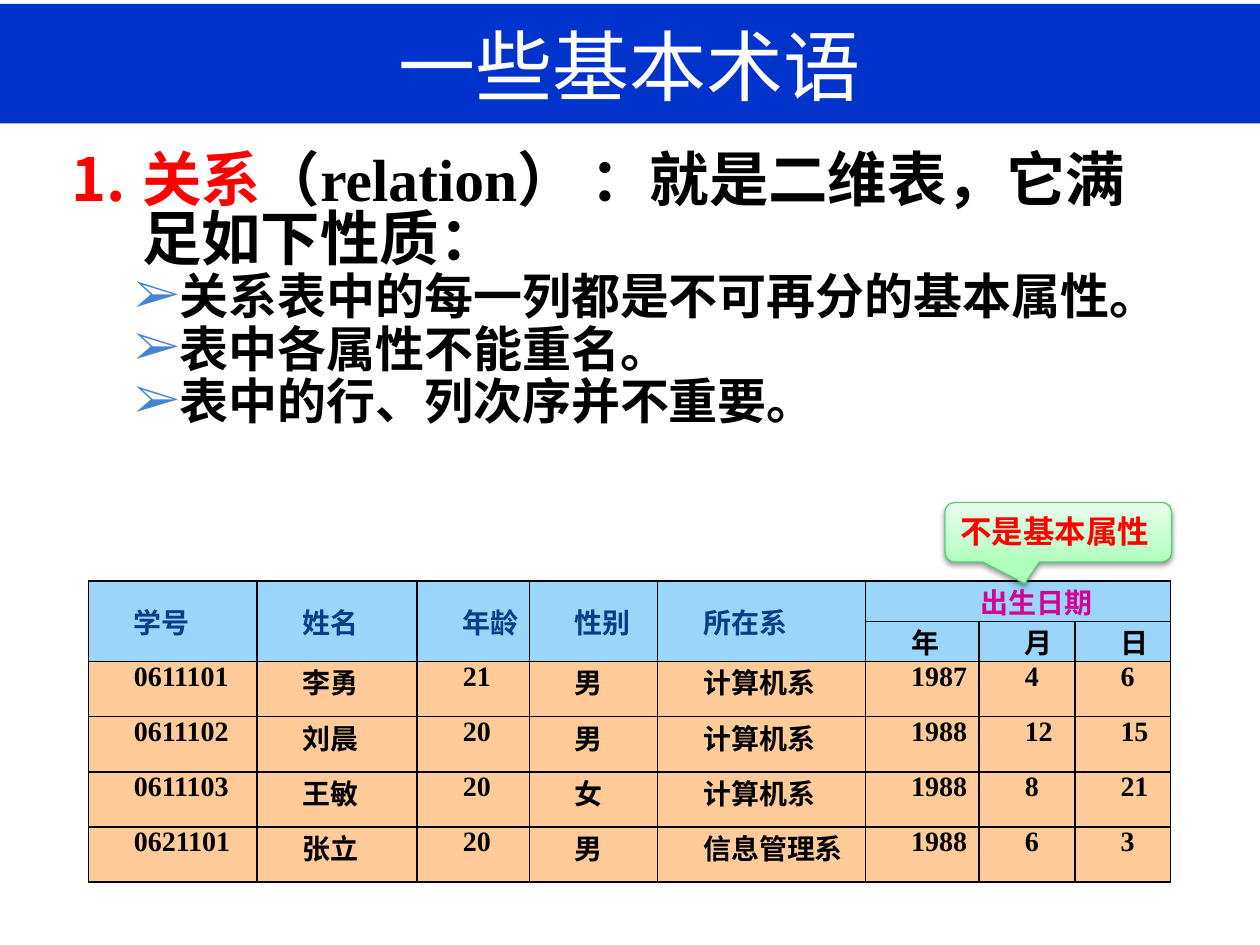
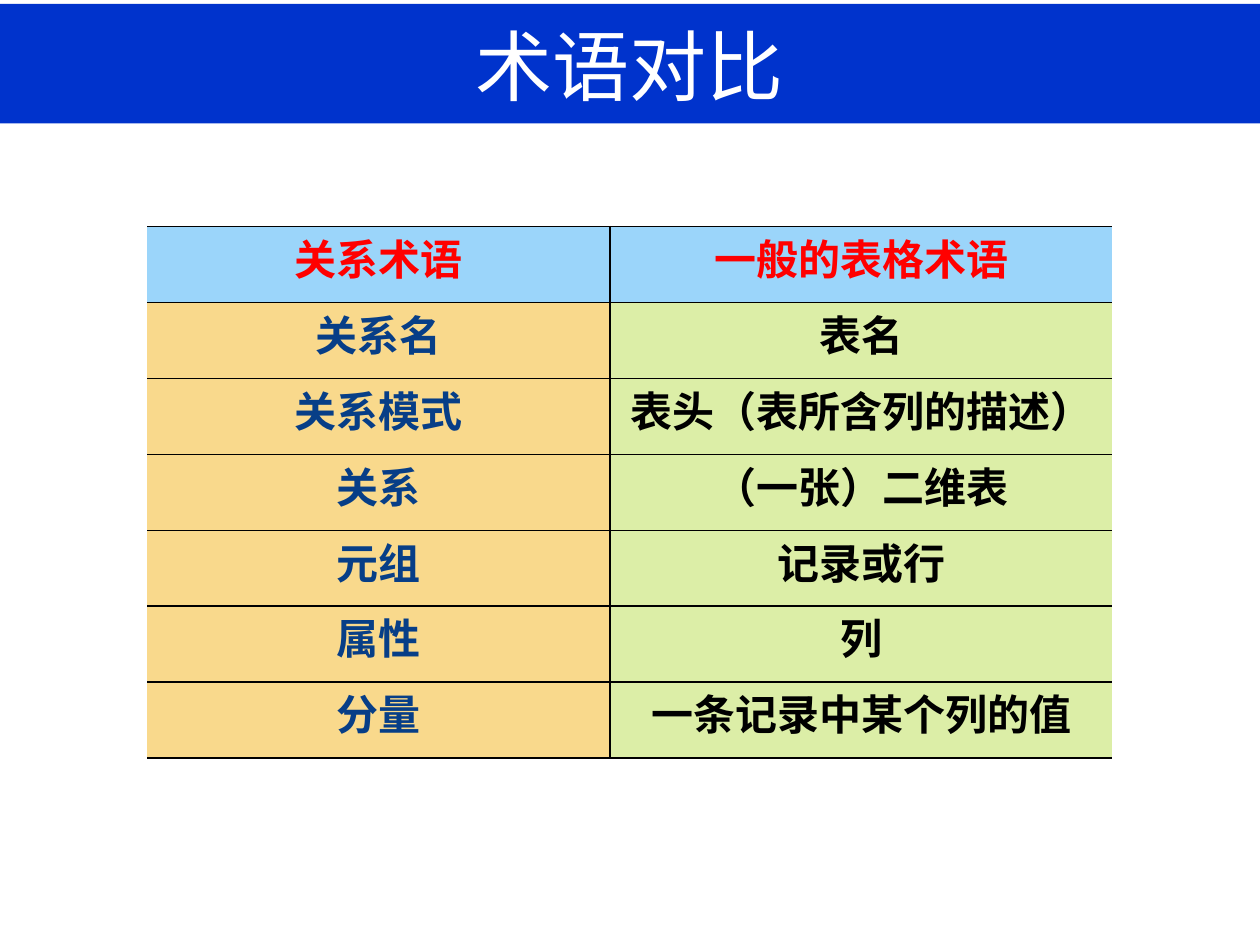
from dataclasses import dataclass, replace
from typing import Optional

from pptx import Presentation
from pptx.dml.color import RGBColor
from pptx.enum.shapes import MSO_SHAPE
from pptx.enum.text import MSO_ANCHOR as ANCHOR, MSO_AUTO_SIZE as FIT, PP_ALIGN as ALIGN
from pptx.oxml import parse_xml
from pptx.oxml.ns import nsdecls, qn
from pptx.util import Cm, Pt


# Theme: colours, fonts and type sizes
@dataclass(frozen=True)
class Theme:
    band: str = "0033CC"
    white: str = "FFFFFF"
    black: str = "000000"
    red: str = "FF0000"
    navy: str = "073E87"
    magenta: str = "D60093"
    bullet: str = "4584D3"
    header: str = "9BD5FA"
    peach: str = "FFCC99"
    amber: str = "F9D98C"
    lime: str = "DCEEA7"
    callout_line: str = "56CE74"
    callout_stops: tuple = ((0, "AEFFBC"), (35, "C6FFCF"), (100, "E9FFEC"))
    sans: str = "Noto Sans CJK SC"
    serif: str = "Times New Roman"
    title_pt: int = 44
    topic_pt: int = 34
    item_pt: int = 28
    terms_pt: int = 24
    callout_pt: int = 18
    student_pt: int = 16


T = Theme()


@dataclass(frozen=True)
class Style:
    size: int
    color: str
    font: str = T.serif
    bold: bool = True


@dataclass(frozen=True)
class CellLook:
    style: Style
    fill: str
    align: Optional[ALIGN] = None
    anchor: ANCHOR = ANCHOR.TOP
    indent: float = 0
    space: float = 0
    borders: str = "LRTB"


@dataclass(frozen=True)
class Box:
    x: float
    y: float
    w: float
    h: float

    def lengths(self) -> tuple:
        return Cm(self.x), Cm(self.y), Cm(self.w), Cm(self.h)


def rgb(color: str) -> RGBColor:
    return RGBColor.from_string(color)


def a_xml(body: str):
    """Parse a DrawingML element such as 'buFont typeface="…"/>'."""
    tag, rest = body.split(" ", 1)
    return parse_xml(f"<a:{tag} {nsdecls('a')} {rest}")


# Text
def add_run(p, text: str, style: Style) -> None:
    r = p.add_run()
    r.text = text
    f = r.font
    f.size, f.bold, f.name = Pt(style.size), style.bold, style.font
    f.color.rgb = rgb(style.color)
    r._r.get_or_add_rPr().append(a_xml(f'ea typeface="{T.sans}"/>'))


def set_indent(p, left: float, first: float) -> None:
    pPr = p._p.get_or_add_pPr()
    pPr.set("marL", str(Cm(left)))
    pPr.set("indent", str(Cm(first)))


def add_bullet(p, color: str, font: str, mark: str) -> None:
    pPr = p._p.get_or_add_pPr()
    for body in (f'buClr ><a:srgbClr val="{color}"/></a:buClr>',
                 f'buFont typeface="{font}"/>', mark):
        pPr.append(a_xml(body))


def place(sp, box: Box) -> None:
    sp.left, sp.top, sp.width, sp.height = box.lengths()


# Shared slide parts
def add_master_band(prs, slide) -> None:
    """Draw the title band and move it behind everything on the master."""
    sp = slide.shapes.add_shape(MSO_SHAPE.RECTANGLE, *Box(-0.08, 0.08, 25.48, 2.41).lengths())
    sp.fill.solid()
    sp.fill.fore_color.rgb = rgb(T.band)
    sp.line.fill.background()
    sp.shadow.inherit = False
    prs.slide_master.shapes._spTree.insert(2, sp._element)


def set_title(slide, text: str) -> None:
    sp = slide.shapes.title
    place(sp, Box(1.27, 0.33, 22.86, 1.96))
    tf = sp.text_frame
    tf.auto_size, tf.vertical_anchor = FIT.NONE, ANCHOR.MIDDLE
    p = tf.paragraphs[0]
    p.alignment = ALIGN.CENTER
    add_run(p, text, Style(T.title_pt, T.white, T.sans, False))


# Tables
def format_cell(cell, look: CellLook, text: str) -> None:
    cell.margin_left = cell.margin_right = Cm(0.18)
    cell.margin_top = cell.margin_bottom = 0
    cell.vertical_anchor = look.anchor
    cell.fill.solid()
    cell.fill.fore_color.rgb = rgb(look.fill)
    tcPr = cell._tc.get_or_add_tcPr()
    for i, side in enumerate("LRTB"):
        paint = (f'<a:solidFill><a:srgbClr val="{T.black}"/></a:solidFill>'
                 if side in look.borders else "<a:noFill/>")
        tcPr.insert(i, a_xml(f'ln{side} w="{Pt(1)}">{paint}</a:ln{side}>'))
    p = cell.text_frame.paragraphs[0]
    p.alignment = look.align
    p.space_before = p.space_after = Pt(look.space)
    set_indent(p, 0, look.indent)
    if text:
        add_run(p, text, look.style)


def add_grid(slide, x: float, y: float, widths: list, heights: list):
    box = Box(x, y, sum(widths), sum(heights))
    tbl = slide.shapes.add_table(len(heights), len(widths), *box.lengths()).table
    tbl.first_row = tbl.horz_banding = False
    for col, w in zip(tbl.columns, widths):
        col.width = Cm(w)
    for row, h in zip(tbl.rows, heights):
        row.height = Cm(h)
    return tbl


# Slide 1: relation and its properties
PROPERTIES = ["关系表中的每一列都是不可再分的基本属性。", "表中各属性不能重名。", "表中的行、列次序并不重要。"]
STUDENT_HEAD = [
    ["学号", "姓名", "年龄", "性别", "所在系", "出生日期", "", ""],
    ["", "", "", "", "", "年", "月", "日"],
]
STUDENTS = [
    ["0611101", "李勇", "21", "男", "计算机系", "1987", "4", "6"],
    ["0611102", "刘晨", "20", "男", "计算机系", "1988", "12", "15"],
    ["0611103", "王敏", "20", "女", "计算机系", "1988", "8", "21"],
    ["0621101", "张立", "20", "男", "信息管理系", "1988", "6", "3"],
]
BIRTH_COL = 5


def add_definition(slide) -> None:
    sp = slide.placeholders[1]
    place(sp, Box(1.19, 2.97, 22.91, 7.16))
    tf = sp.text_frame
    tf.auto_size = FIT.NONE
    p = tf.paragraphs[0]
    add_run(p, "关系", Style(T.topic_pt, T.red))
    add_run(p, "（relation） ：就是二维表，它满足如下性质：", Style(T.topic_pt, T.black))
    set_indent(p, 1.42, -1.42)
    add_bullet(p, T.red, T.sans, 'buAutoNum type="arabicPeriod"/>')
    for text in PROPERTIES:
        p = tf.add_paragraph()
        p.level = 1
        add_run(p, text, Style(T.item_pt, T.black))
        set_indent(p, 2.06, -0.79)
        add_bullet(p, T.bullet, T.serif, 'buChar char="➢"/>')
    for p in tf.paragraphs:
        p.space_before, p.line_spacing = Pt(2), 0.83


def student_look(row: int, col: int) -> CellLook:
    body = CellLook(Style(T.student_pt, T.black), T.peach, ALIGN.JUSTIFY, indent=0.74)
    if row >= len(STUDENT_HEAD):
        return body
    head = replace(body, fill=T.header, align=None)
    if col < BIRTH_COL:
        return replace(head, style=Style(T.student_pt, T.navy), anchor=ANCHOR.MIDDLE)
    if row == 0:
        return replace(head, style=Style(T.student_pt, T.magenta), align=ALIGN.CENTER)
    return head


def add_students(slide) -> None:
    widths = [3.4, 3.23, 2.26, 2.59, 4.19, 2.29, 1.93, 1.93]
    tbl = add_grid(slide, 1.78, 11.71, widths, [0.69] * 2 + [1.11] * len(STUDENTS))
    for r, row in enumerate(STUDENT_HEAD + STUDENTS):
        for c, text in enumerate(row):
            format_cell(tbl.cell(r, c), student_look(r, c), text)
    for c in range(BIRTH_COL):
        tbl.cell(0, c).merge(tbl.cell(1, c))
    tbl.cell(0, BIRTH_COL).merge(tbl.cell(0, len(widths) - 1))


def add_callout(slide) -> None:
    sp = slide.shapes.add_shape(MSO_SHAPE.ROUNDED_RECTANGULAR_CALLOUT,
                                *Box(19.05, 10.13, 4.57, 1.2).lengths())
    for i, value in enumerate((-0.148, 0.864, 0.167)):
        sp.adjustments[i] = value
    # Three-stop gradient, running upwards
    sp.fill.gradient()
    spPr = sp._element.spPr
    stops = "".join(f'<a:gs pos="{pos * 1000}"><a:srgbClr val="{color}"/></a:gs>'
                    for pos, color in T.callout_stops)
    spPr.replace(spPr.find(qn("a:gradFill")), a_xml(
        f'gradFill rotWithShape="1"><a:gsLst>{stops}</a:gsLst>'
        '<a:lin ang="16200000" scaled="1"/></a:gradFill>'))
    sp.line.color.rgb, sp.line.width = rgb(T.callout_line), Pt(0.75)
    # Soft shadow below
    sp.shadow.inherit = False
    spPr.find(qn("a:effectLst")).append(a_xml(
        f'outerShdw blurRad="{Pt(3.1)}" dist="{Pt(1.6)}" dir="5400000" rotWithShape="0">'
        f'<a:srgbClr val="{T.black}"><a:alpha val="38000"/></a:srgbClr></a:outerShdw>'))
    tf = sp.text_frame
    tf.word_wrap, tf.vertical_anchor = True, ANCHOR.TOP
    p = tf.paragraphs[0]
    p.alignment = ALIGN.LEFT
    add_run(p, "不是基本属性", Style(T.callout_pt, T.red, T.sans))


# Slide 2: relational terms against table terms
TERMS = [
    ("关系术语", "一般的表格术语"),
    ("关系名", "表名"),
    ("关系模式", "表头（表所含列的描述）"),
    ("关系", "（一张）二维表"),
    ("元组", "记录或行"),
    ("属性", "列"),
    ("分量", "一条记录中某个列的值"),
]


def add_terms(slide) -> None:
    tbl = add_grid(slide, 2.97, 4.57, [9.33, 10.12], [1.53] * len(TERMS))
    left = CellLook(Style(T.terms_pt, T.navy), T.amber, ALIGN.CENTER, space=1.5, borders="RTB")
    right = replace(left, style=Style(T.terms_pt, T.black), fill=T.lime, borders="LTB")
    for r, pair in enumerate(TERMS):
        for c, (text, look) in enumerate(zip(pair, (left, right))):
            if r == 0:
                look = replace(look, style=Style(T.terms_pt, T.red, T.sans), fill=T.header)
            format_cell(tbl.cell(r, c), look, text)


def main() -> None:
    prs = Presentation()
    prs.slide_width, prs.slide_height = Cm(25.4), Cm(19.05)

    s = prs.slides.add_slide(prs.slide_layouts.get_by_name("Title and Content"))
    add_master_band(prs, s)
    set_title(s, "一些基本术语")
    add_definition(s)
    add_students(s)
    add_callout(s)

    s = prs.slides.add_slide(prs.slide_layouts.get_by_name("Title Only"))
    set_title(s, "术语对比")
    add_terms(s)

    prs.save("out.pptx")


if __name__ == "__main__":
    main()
